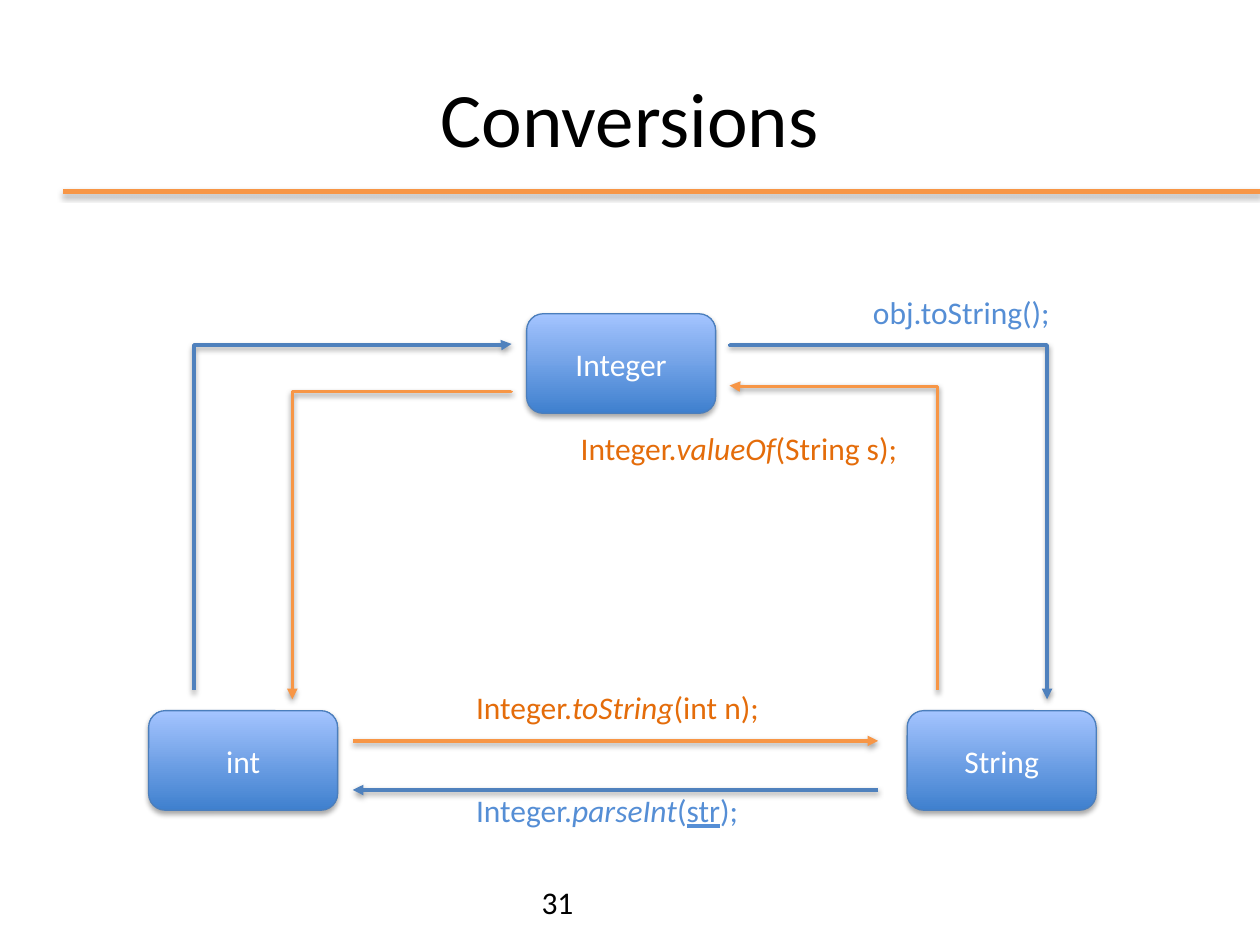
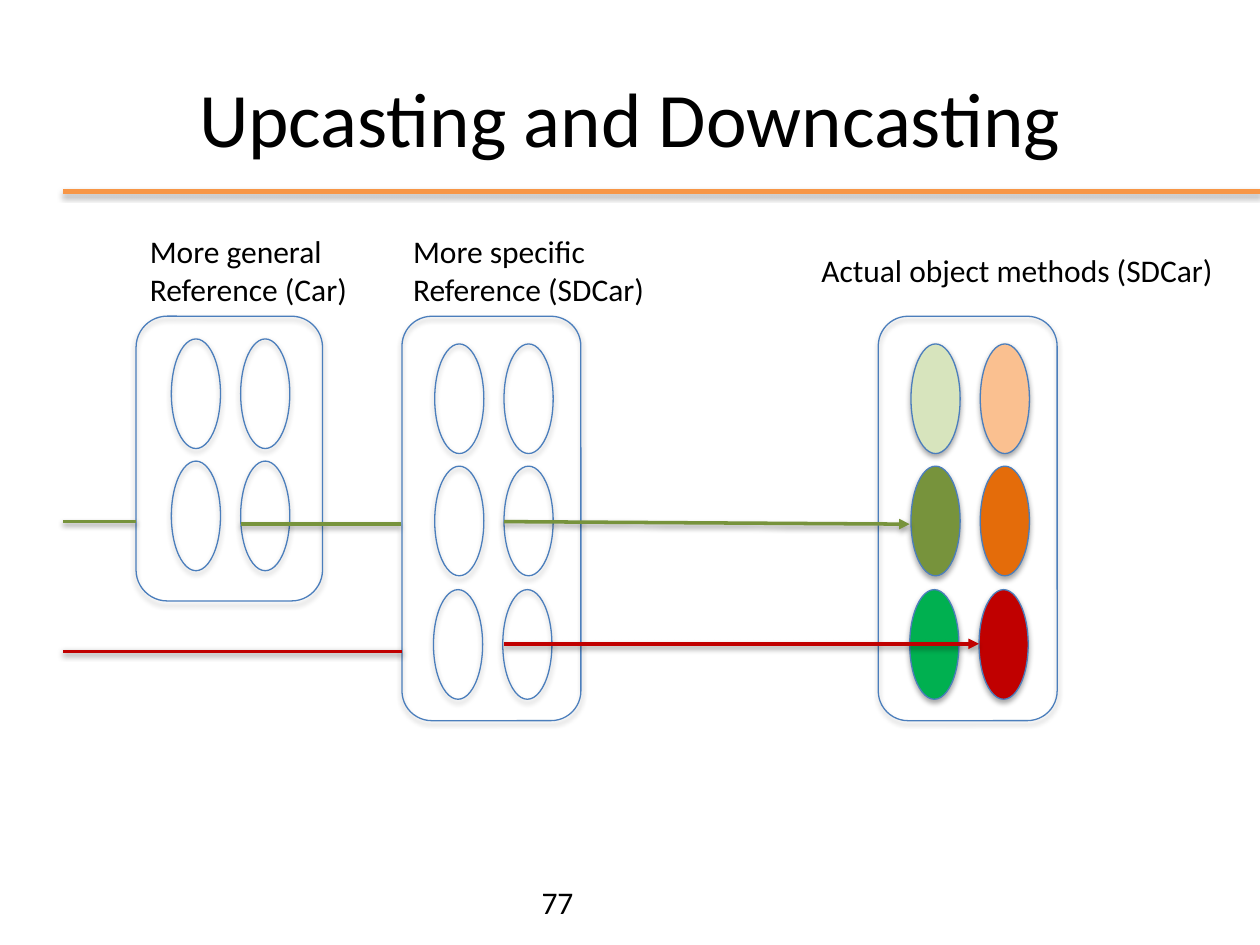
import pptx
import pptx.util
import pptx.dml.color
import pptx.enum.shapes
import pptx.enum.text
import pptx.oxml.ns
from lxml import etree

PX = 9144  # EMU in one px, 100 px to the inch
FONT = "Calibri"
HUES = {
    "black": "000000", "white": "FFFFFF", "edge": "4B7EBC",
    "deep": "3F80CE", "pale": "A4C4FF", "blue": "4F81BD",
    "sky": "558ED5", "amber": "F79646", "rust": "E46C0A",
    "peach": "FAC090", "mint": "D7E4BD", "olive": "77933C",
    "green": "00B050", "red": "C00000",
}
SHAPES = pptx.enum.shapes.MSO_SHAPE
LINKS = pptx.enum.shapes.MSO_CONNECTOR
ALIGN = pptx.enum.text.PP_ALIGN
ANCHOR = pptx.enum.text.MSO_ANCHOR


def emu(*sizes):
    return [round(size * PX) for size in sizes]


def rgb(hue):
    return pptx.dml.color.RGBColor.from_string(HUES[hue])


def child(node, tag, **attrs):
    item = etree.SubElement(node, pptx.oxml.ns.qn("a:" + tag))
    for key, value in attrs.items():
        item.set(key, str(value))
    return item


def shade(props, dist, alpha):
    """Put a soft shadow below a shape or line."""
    old = props.find(pptx.oxml.ns.qn("a:effectLst"))
    if old is not None:
        props.remove(old)
    drop = child(child(props, "effectLst"), "outerShdw", blurRad=40000,
                 dist=dist, dir=5400000, rotWithShape=0)
    child(child(drop, "srgbClr", val=HUES["black"]), "alpha", val=alpha * 1000)


# Text

def write(frame, lines, hue, size=18, align=ALIGN.LEFT):
    """Each line is a list of (words, style) runs; style is '', 'i' or 'u'."""
    for num, line in enumerate(lines):
        para = frame.add_paragraph() if num else frame.paragraphs[0]
        para.alignment = align
        para.font.name = FONT
        para.font.size = pptx.util.Pt(size)
        para.font.color.rgb = rgb(hue)
        for words, style in line:
            run = para.add_run()
            run.text = words
            if style == "i":
                run.font.italic = True
            elif style == "u":
                run.font.underline = True


def label(slide, box, lines, hue="black", wrap=True, **look):
    frame = slide.shapes.add_textbox(*emu(*box)).text_frame
    frame.word_wrap = wrap
    write(frame, lines, hue, **look)
    return frame


# Shapes and lines

def solid(slide, kind, box, hue=None):
    shape = slide.shapes.add_shape(kind, *emu(*box))
    shape.shadow.inherit = False
    if hue:
        shape.fill.solid()
        shape.fill.fore_color.rgb = rgb(hue)
    else:
        shape.fill.background()
    shape.line.color.rgb = rgb("edge")
    shape.line.width = pptx.util.Pt(0.75)
    shade(shape._element.spPr, 23000, 35)
    return shape


def ink(link, hue, tip=None, width=2, dist=20000, alpha=38):
    """Colour a connector; tip is headEnd, tailEnd or None."""
    link.line.color.rgb = rgb(hue)
    link.line.width = pptx.util.Pt(width)
    if tip:
        child(link.line._get_or_add_ln(), tip, type="triangle")
    shade(link._element.spPr, dist, alpha)


def line(slide, ends, hue, tip=None, **look):
    link = slide.shapes.add_connector(LINKS.STRAIGHT, *emu(*ends))
    ink(link, hue, tip, **look)


def elbow(slide, ends, hue, tip):
    """Run sideways from the first end, then down to the second."""
    left, top, right, low = ends
    midx, midy = (left + right) / 2, (top + low) / 2
    wide, tall = abs(right - left) / 2, (low - top) / 2
    if right > left:
        turn, side = 270, -tall
    else:
        turn, side = 90, tall
    link = slide.shapes.add_connector(
        LINKS.ELBOW,
        *emu(midx - side, midy - wide, midx + side, midy + wide))
    props = link._element.spPr
    props.find(pptx.oxml.ns.qn("a:xfrm")).set("rot", str(turn * 60000))
    geom = props.find(pptx.oxml.ns.qn("a:prstGeom"))
    child(geom.find(pptx.oxml.ns.qn("a:avLst")), "gd",
          name="adj1", fmla="val 300")
    ink(link, hue, tip)


# Shared frame: title, rule and page number

def base(deck, title, page):
    slide = deck.slides.add_slide(deck.slide_layouts[6])
    line(slide, (50, 152, 1000, 152), "amber", width=3, dist=23000, alpha=35)
    head = label(slide, (50, 30, 900, 125), [[(title, "")]],
                 size=44, align=ALIGN.CENTER)
    head.vertical_anchor = ANCHOR.MIDDLE
    label(slide, (420, 696, 530, 40), [[(page, "")]])
    return slide


# Conversions

def node(slide, left, top, name):
    shape = solid(slide, SHAPES.ROUNDED_RECTANGLE, (left, top, 150, 79), "deep")
    shape.fill.gradient()
    shape.fill.gradient_angle = 90
    for stop, hue in zip(shape.fill.gradient_stops, ("deep", "pale")):
        stop.color.rgb = rgb(hue)
    shape.text_frame.vertical_anchor = ANCHOR.MIDDLE
    write(shape.text_frame, [[(name, "")]], "white", align=ALIGN.CENTER)


def types(slide, box):
    left, top, wide, tall = box
    right, low = left + wide, top + tall
    base_y = low - 79
    hub = left + 300
    node(slide, left, base_y, "int")
    node(slide, hub, top, "Integer")
    node(slide, right - 150, base_y, "String")

    # Paths between Integer and the lower nodes
    west, east = hub - 12, hub + 161
    elbow(slide, (east, top + 24, right - 39, base_y - 9), "blue", "tailEnd")
    elbow(slide, (west, top + 24, left + 36, base_y - 16), "blue", "headEnd")
    elbow(slide, (west, top + 61, left + 114, base_y - 9), "amber", "tailEnd")
    elbow(slide, (east, top + 57, right - 126, base_y - 16), "amber", "headEnd")

    # Paths between int and String
    near, far = left + 162, right - 173
    line(slide, (far, base_y + 63, near, base_y + 63), "blue", "tailEnd")
    line(slide, (near, base_y + 24, far, base_y + 24), "amber", "tailEnd")

    # Calls
    calls = [
        (250, 374, 248, "sky", [("Integer.", ""), ("parseInt", "i"), ("(", ""),
                                ("str", "u"), (");", "")]),
        (250, 292, 266, "rust", [("Integer.", ""), ("toString", "i"),
                                 ("(int n);", "")]),
        (565, -21, 225, "sky", [("obj.toString();", "")]),
        (333, 87, 279, "rust", [("Integer.", ""), ("valueOf", "i"),
                                ("(String s);", "")]),
    ]
    for shift, drop, span, hue, runs in calls:
        label(slide, (left + shift, top + drop, span, 40), [runs], hue)


# Upcasting and downcasting

def panel(slide, box, inset, hues):
    """Rounded frame with two columns of ovals, one for each hue."""
    left, top = box[:2]
    for num, hue in enumerate(hues):
        row, col = divmod(num, 2)
        solid(slide, SHAPES.OVAL,
              (left + inset[0] + col * 55 - row // 2,
               top + inset[1] + row * 195 // 2, 39, 87), hue)
    solid(slide, SHAPES.ROUNDED_RECTANGLE, box)


def casts(slide, box):
    left, top = box[:2]
    panel(slide, (left + 58, top, 148, 226), (28, 18), [None] * 4)
    panel(slide, (left + 269, top, 142, 321), (26, 22), [None] * 6)
    panel(slide, (left + 647, top, 142, 321), (26, 22),
          ["mint", "peach", "olive", "rust", "green", "red"])

    # Captions
    notes = [
        (59, -72, 179, ["More general", "Reference (Car)"]),
        (268, -72, 206, ["More specific", "Reference (SDCar)"]),
        (592, -57, 335, ["Actual object methods (SDCar)"]),
    ]
    for shift, drop, span, words in notes:
        label(slide, (left + shift, top + drop, span, 35 * len(words)),
              [[(text, "")] for text in words], wrap=False)

    # Call paths
    paths = [
        (0, 266, 269, 266, "red", None),
        (350, 260, 727, 260, "red", "tailEnd"),
        (0, 163, 58, 163, "olive", None),
        (141, 165, 268, 165, "olive", None),
        (350, 163, 672, 165, "olive", "tailEnd"),
    ]
    for x1, y1, x2, y2, hue, tip in paths:
        line(slide, (left + x1, top + y1, left + x2, top + y2), hue, tip)


def main():
    deck = pptx.Presentation()
    deck.slide_width, deck.slide_height = emu(1000, 750)
    types(base(deck, "Conversions", "31"), (118, 249, 752, 394))
    casts(base(deck, "Upcasting and Downcasting", "77"), (50, 251, 927, 321))
    deck.save("out.pptx")


if __name__ == "__main__":
    main()
